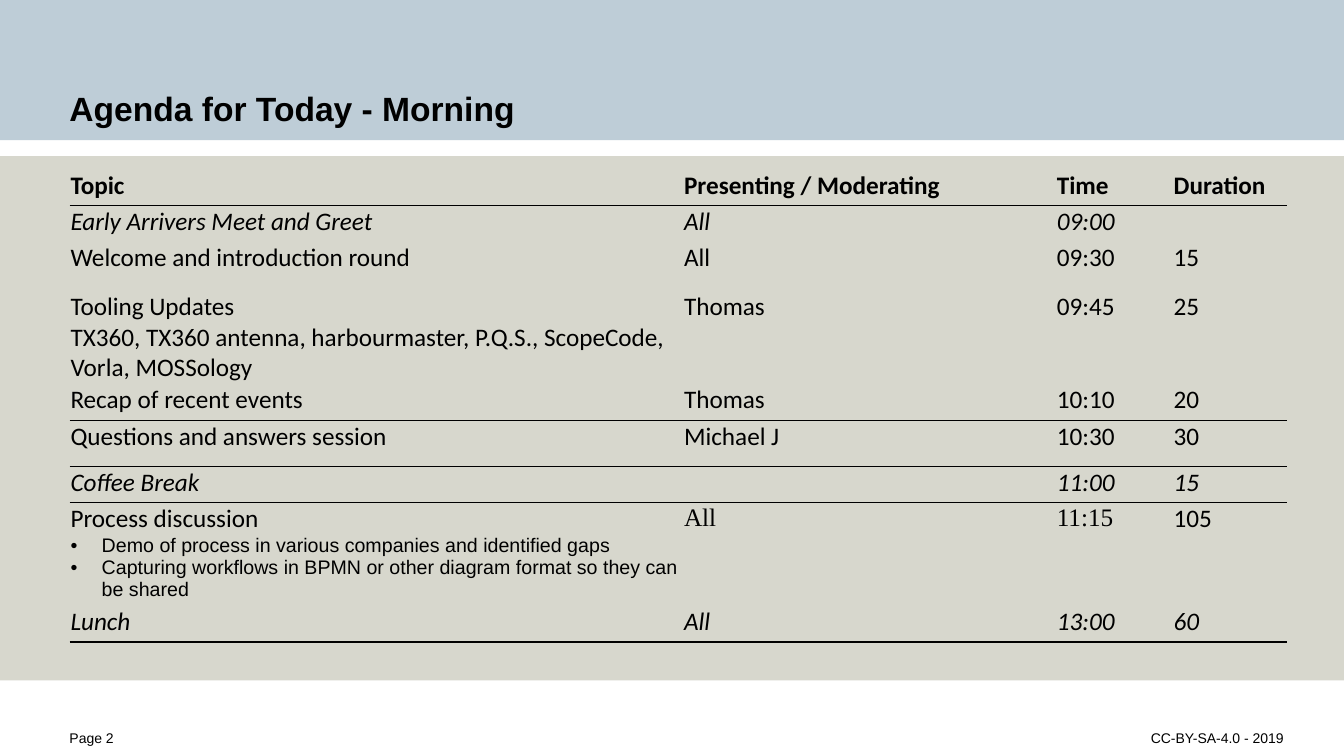
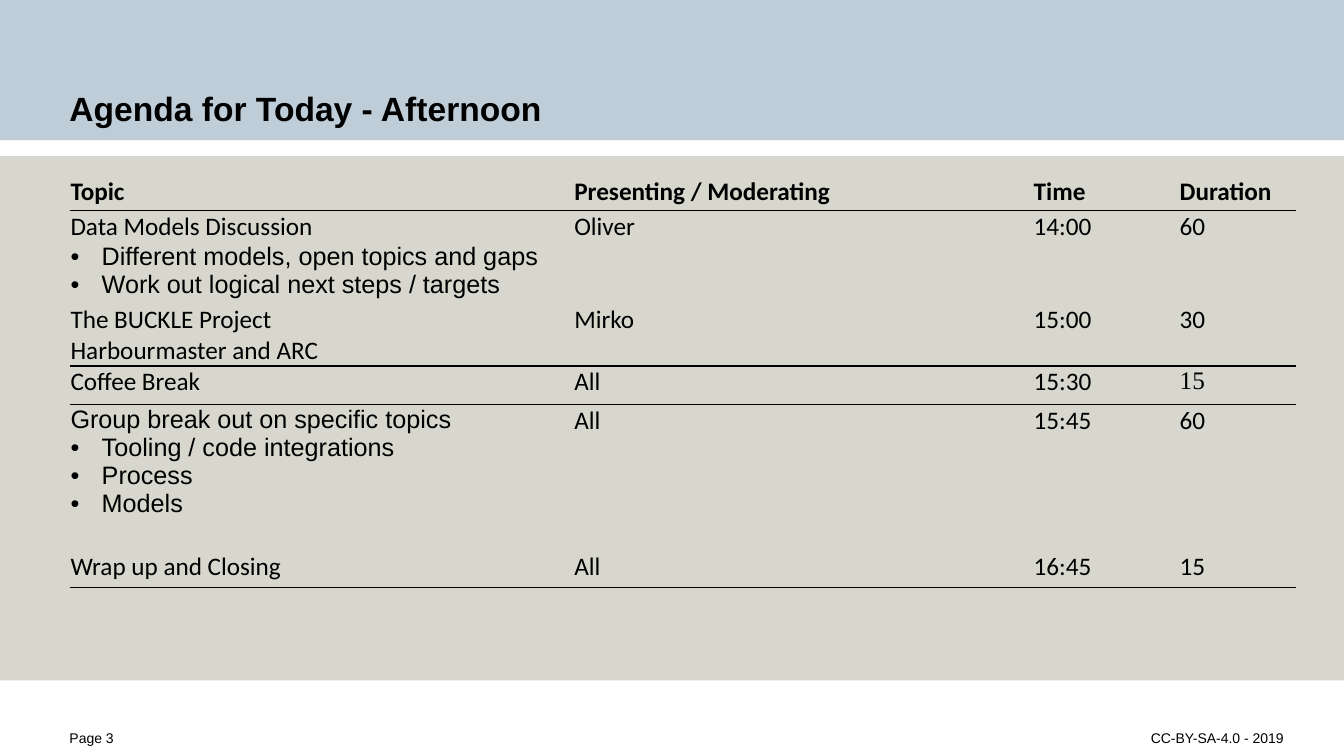
from dataclasses import dataclass, field

from lxml import etree
from pptx import Presentation
from pptx.dml.color import RGBColor
from pptx.enum import shapes, text
from pptx.oxml import ns
from pptx.util import Inches, Pt

BLACK = RGBColor(0x00, 0x00, 0x00)
BLUE = RGBColor(0xBE, 0xCD, 0xD7)
SAND = RGBColor(0xD7, 0xD7, 0xCD)
SANS, BODY, SERIF = "Arial", "Calibri", "Times New Roman"
WIDE, HIGH = 13.34, 7.5
LEFT = 0.69
BAND = (0, 0, WIDE, 1.39)
PANEL = (0, 1.55, WIDE, 5.2)
NO_GRID = "{2D5ABB26-0587-4C30-8999-92F81FD0307C}"
HEAD = ["Topic", "Presenting / Moderating", "Time", "Duration"]


@dataclass
class Row:
    """One agenda line; face maps a column to a font other than the body font."""
    high: float
    cells: list
    ruled: bool = False
    bold: bool = False
    slant: bool = False
    face: dict = field(default_factory=dict)


@dataclass
class Day:
    """One agenda slide: its title, table place, columns, bullet size and rows."""
    title: str
    top: float
    cols: list
    small: int
    rows: list


MORNING = Day("Agenda for Today - Morning", 1.68, [6.09, 3.7, 1.16, 1.13], 14, [
    Row(0.36, HEAD, ruled=True, bold=True),
    Row(0.36, ["Early Arrivers Meet and Greet", "All", "09:00", ""], slant=True),
    Row(0.48, ["Welcome and introduction round", "All", "09:30", "15"]),
    Row(0.93, ["Tooling Updates\nTX360, TX360 antenna, harbourmaster, P.Q.S., "
               "ScopeCode, Vorla, MOSSology", "Thomas", "09:45", "25"]),
    Row(0.36, ["Recap of recent events", "Thomas", "10:10", "20"], ruled=True),
    Row(0.46, ["Questions and answers session", "Michael J", "10:30", "30"],
        ruled=True),
    Row(0.36, ["Coffee Break", "", "11:00", "15"], ruled=True, slant=True),
    Row(0.98, ["Process discussion\n"
               "•Demo of process in various companies and identified gaps\n"
               "•Capturing workflows in BPMN or other diagram format so they "
               "can be shared", "All", "11:15", "105"],
        face={1: SERIF, 2: SERIF}),
    Row(0.36, ["Lunch", "All", "13:00", "60"], ruled=True, slant=True),
])

AFTERNOON = Day("Agenda for Today - Afternoon", 1.74, [5, 4.56, 1.45, 1.16], 18, [
    Row(0.35, HEAD, ruled=True, bold=True),
    Row(0.89, ["Data Models Discussion\n"
               "•Different models, open topics and gaps\n"
               "•Work out logical next steps / targets", "Oliver", "14:00", "60"]),
    Row(0.62, ["The BUCKLE Project\nHarbourmaster and ARC", "Mirko", "15:00", "30"],
        ruled=True),
    Row(0.38, ["Coffee Break", "All", "15:30", "15"], ruled=True, face={3: SERIF}),
    Row(1.45, ["Group break out on specific topics\n"
               "•Tooling / code integrations\n•Process\n•Models",
               "All", "15:45", "60"], face={0: SANS}),
    Row(0.37, ["Wrap up and Closing", "All", "16:45", "15"], ruled=True),
])


def add_run(para, words, size, font, bold=False, slant=False):
    """Add one black run to a paragraph."""
    run = para.add_run()
    run.text = words
    run.font.size, run.font.name = Pt(size), font
    run.font.bold, run.font.italic = bold, slant
    run.font.color.rgb = BLACK


def add_band(slide, box, color):
    """Fill a plain rectangle."""
    band = slide.shapes.add_shape(shapes.MSO_SHAPE.RECTANGLE, *map(Inches, box))
    band.shadow.inherit = False
    band.fill.solid()
    band.fill.fore_color.rgb = color
    band.line.fill.background()


def add_text(slide, box, pads, words, size, bold=False):
    """Place a one-line text box with the given insets and return it."""
    frame = slide.shapes.add_textbox(*map(Inches, box)).text_frame
    frame.word_wrap = True
    (frame.margin_left, frame.margin_top,
     frame.margin_right, frame.margin_bottom) = map(Inches, pads)
    add_run(frame.paragraphs[0], words, size, SANS, bold)
    return frame


def add_frame(slide, title, page):
    """Draw the bands, title and footers that each slide shares."""
    add_band(slide, BAND, BLUE)
    add_band(slide, PANEL, SAND)
    frame = add_text(slide, BAND, (LEFT, 0.43, 2.32, 0.26), title, 24, True)
    frame.vertical_anchor = text.MSO_ANCHOR.BOTTOM
    foot = HIGH - 0.28
    left = add_text(slide, (0, foot, 1.93, 0.28), (LEFT, 0, 0, 0.13),
                    f"Page {page}", 10)
    right = add_text(slide, (4.14, foot, 9.2, 0.28), (0, 0, 0.6, 0.13),
                     "CC-BY-SA-4.0 - 2019", 10)
    right.paragraphs[0].alignment = text.PP_ALIGN.RIGHT
    for frame in (left, right):
        frame.paragraphs[0].line_spacing = 1.1


def add_dot(para):
    """Give a paragraph a hanging bullet."""
    props = para._p.get_or_add_pPr()
    props.set("marL", str(Inches(0.31)))
    props.set("indent", str(-Inches(0.31)))
    etree.SubElement(props, ns.qn("a:buFont"), typeface=SANS)
    etree.SubElement(props, ns.qn("a:buChar"), char="•")


def set_edges(cell, above, below):
    """Rule the top and bottom of a cell where asked and clear the other edges."""
    cell.fill.background()
    props = cell._tc.get_or_add_tcPr()
    edges = {"L": False, "R": False, "T": above, "B": below}
    for spot, (side, ruled) in enumerate(edges.items()):
        line = etree.Element(ns.qn(f"a:ln{side}"), w=str(Pt(1)))
        if ruled:
            fill = etree.SubElement(line, ns.qn("a:solidFill"))
            etree.SubElement(fill, ns.qn("a:srgbClr"), val=str(BLACK))
        else:
            etree.SubElement(line, ns.qn("a:noFill"))
        props.insert(spot, line)


def fill_cell(cell, words, row, font, small):
    """Write the lines of a cell, with bullets where a line is marked."""
    cell.margin_left = cell.margin_right = Inches(0.01)
    cell.margin_top = cell.margin_bottom = Inches(0.01)
    frame = cell.text_frame
    for spot, line in enumerate(words.split("\n")):
        para = frame.add_paragraph() if spot else frame.paragraphs[0]
        if line.startswith("•"):
            add_dot(para)
            add_run(para, line[1:], small, SANS)
        elif line:
            add_run(para, line, 18, font, row.bold, row.slant)
        else:
            para.font.size = Pt(18)


def add_plan(slide, day):
    """Build the agenda table of a day."""
    box = (LEFT, day.top, sum(day.cols), sum(row.high for row in day.rows))
    table = slide.shapes.add_table(len(day.rows), len(day.cols),
                                   *map(Inches, box)).table
    table.first_row = table.horz_banding = False
    table._tbl.tblPr.find(ns.qn("a:tableStyleId")).text = NO_GRID
    for col, wide in zip(table.columns, day.cols):
        col.width = Inches(wide)
    above = False
    for down, row in enumerate(day.rows):
        table.rows[down].height = Inches(row.high)
        for across, words in enumerate(row.cells):
            cell = table.cell(down, across)
            fill_cell(cell, words, row, row.face.get(across, BODY), day.small)
            set_edges(cell, above, row.ruled)
        above = row.ruled


def main():
    """Build and save the agenda slides."""
    deck = Presentation()
    deck.slide_width, deck.slide_height = Inches(WIDE), Inches(HIGH)
    for page, day in enumerate((MORNING, AFTERNOON), 2):
        slide = deck.slides.add_slide(deck.slide_layouts[6])
        add_frame(slide, day.title, page)
        add_plan(slide, day)
    deck.save("out.pptx")


if __name__ == "__main__":
    main()
